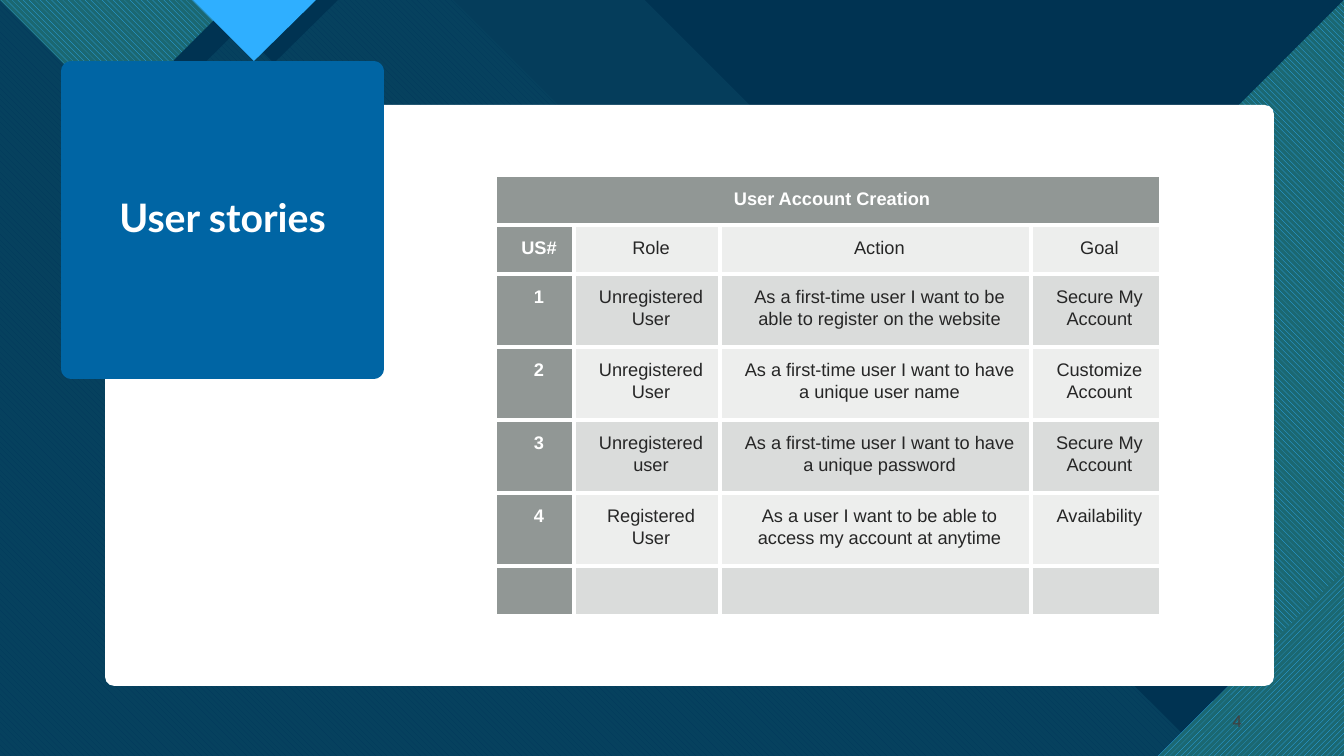
from lxml import etree
from pptx import Presentation
from pptx.dml.color import RGBColor
from pptx.enum.dml import MSO_PATTERN as Pattern
from pptx.enum.shapes import MSO_SHAPE as Shape
from pptx.enum.text import MSO_ANCHOR as Anchor, PP_ALIGN as Align
from pptx.oxml.ns import qn
from pptx.util import Emu, Pt

EMU_PER_PX = 914400 / 100.8
WIDTH, HEIGHT = 1344, 756

WHITE = RGBColor(0xFF, 0xFF, 0xFF)
NAVY = RGBColor(0x00, 0x33, 0x52)
DEEP_BLUE = RGBColor(0x0C, 0x43, 0x60)
BLUE = RGBColor(0x00, 0x65, 0xA4)
SKY = RGBColor(0x2F, 0xAF, 0xFF)
AQUA = RGBColor(0x47, 0xC3, 0xD3)
TEAL = RGBColor(0x1B, 0x68, 0x72)
HEAD_GREY = RGBColor(0x63, 0x6B, 0x68)
BODY_GREY = RGBColor(0x87, 0x8E, 0x8B)
INK = RGBColor(0x26, 0x26, 0x26)
NUMBER_GREY = RGBColor(0x40, 0x40, 0x40)

DOWNWARD = Pattern.WIDE_DOWNWARD_DIAGONAL
UPWARD = Pattern.WIDE_UPWARD_DIAGONAL

COLUMN_WIDTHS = [78, 146, 311, 129]
ROW_HEIGHTS = [49, 49, 73, 73, 73, 73, 49]
STORIES = [
    ["User Account Creation", "", "", ""],
    ["US#", "Role", "Action", "Goal"],
    ["1", "Unregistered User",
     "As a first-time user I want to be able to register on the website",
     "Secure My Account"],
    ["2", "Unregistered User",
     "As a first-time user I want to have a unique user name",
     "Customize Account"],
    ["3", "Unregistered user",
     "As a first-time user I want to have a unique password",
     "Secure My Account"],
    ["4", "Registered User",
     "As a user I want to be able to access my account at anytime",
     "Availability"],
    ["", "", "", ""],
]


def px(length):
    return Emu(round(length * EMU_PER_PX))


def box(*lengths):
    return [px(length) for length in lengths]


def fill_solid(fill, properties, colour, opacity=100):
    """Fill with a colour; properties is the XML parent of the fill."""
    fill.solid()
    fill.fore_color.rgb = colour
    if opacity < 100:
        tint = properties.find(f"{qn('a:solidFill')}/{qn('a:srgbClr')}")
        etree.SubElement(tint, qn("a:alpha"), val=str(opacity * 1000))


def add_polygon(slide, points):
    builder = slide.shapes.build_freeform(*points[0], scale=EMU_PER_PX)
    builder.add_line_segments(points[1:], close=True)
    polygon = builder.convert_to_shape()
    polygon.shadow.inherit = False
    polygon.line.fill.background()
    return polygon


def add_plain(slide, points, colour, opacity=100):
    polygon = add_polygon(slide, points)
    fill_solid(polygon.fill, polygon._element.spPr, colour, opacity)


def add_hatched(slide, points, pattern, front, back):
    fill = add_polygon(slide, points).fill
    fill.patterned()
    fill.pattern = pattern
    fill.fore_color.rgb = front
    fill.back_color.rgb = back


def pennant(left, width):
    """Triangle hanging from the top edge with 45 degree sides."""
    return [(left, 0), (left + width, 0), (left + width // 2, width // 2)]


def add_run(paragraph, text, size, font, colour, bold=False):
    run = paragraph.add_run()
    run.text = text
    run.font.size = Pt(size)
    run.font.name = font
    run.font.bold = bold
    run.font.color.rgb = colour


def add_backdrop(slide):
    slide.background.fill.solid()
    slide.background.fill.fore_color.rgb = DEEP_BLUE

    # Wide layers
    add_plain(slide, [(0, 0), (833, 0), (1132, 299), (1245, 299), (1344, 399),
                      (WIDTH, HEIGHT), (0, HEIGHT)], AQUA, 74)
    add_hatched(slide, [(0, 0), (453, 0), (752, 299), (879, 299),
                        (1336, HEIGHT), (0, HEIGHT)], DOWNWARD, BLUE, AQUA)
    add_plain(slide, [(645, 0), (WIDTH, 0), (WIDTH, 699)], NAVY)
    add_plain(slide, [(0, 0), (701, 0), (1000, 299), (1127, 299), (1344, 517),
                      (WIDTH, HEIGHT), (0, HEIGHT)], NAVY, 90)

    # Right side
    add_plain(slide, [(WIDTH, 69), (WIDTH, HEIGHT), (1205, HEIGHT),
                      (930, 482)], NAVY)
    add_hatched(slide, [(WIDTH, 0), (WIDTH, HEIGHT), (1309, HEIGHT),
                        (948, 396)], DOWNWARD, SKY, TEAL)
    add_hatched(slide, [(WIDTH, 571), (WIDTH, HEIGHT), (1158, HEIGHT)],
                UPWARD, SKY, TEAL)

    # Top left pennants
    add_plain(slide, pennant(29, 239), NAVY)
    add_hatched(slide, pennant(0, 234), DOWNWARD, SKY, TEAL)
    add_plain(slide, pennant(211, 127), NAVY)
    add_plain(slide, pennant(193, 123), SKY)


def add_card(slide):
    card = slide.shapes.add_shape(Shape.ROUNDED_RECTANGLE,
                                  *box(105, 105, 1169, 581))
    card.adjustments[0] = 0.016
    card.shadow.inherit = False
    card.line.fill.background()
    fill_solid(card.fill, card._element.spPr, WHITE)


def add_title(slide, text):
    title = slide.shapes.add_shape(Shape.RECTANGLE, *box(71, 71, 303, 298))
    title.shadow.inherit = False
    fill_solid(title.fill, title._element.spPr, BLUE)
    title.line.color.rgb = BLUE
    title.line.width = Pt(13.75)
    etree.SubElement(title._element.spPr.find(qn("a:ln")), qn("a:round"))
    title.text_frame.vertical_anchor = Anchor.MIDDLE
    paragraph = title.text_frame.paragraphs[0]
    paragraph.alignment = Align.CENTER
    paragraph.line_spacing = 0.9
    add_run(paragraph, text, 28, "Lato", WHITE, bold=True)


def add_page_number(slide, text):
    frame = slide.shapes.add_textbox(*box(950, 701, 302, 40)).text_frame
    frame.word_wrap = True
    frame.vertical_anchor = Anchor.MIDDLE
    paragraph = frame.paragraphs[0]
    paragraph.alignment = Align.RIGHT
    add_run(paragraph, text, 12, "Arial", NUMBER_GREY)


def add_borders(properties, sides):
    for side in sides:
        border = etree.SubElement(properties, qn(f"a:ln{side}"),
                                  w=str(Pt(3)))
        paint = etree.SubElement(border, qn("a:solidFill"))
        etree.SubElement(paint, qn("a:srgbClr"), val=str(WHITE))


def write_cell(cell, text, colour, bold):
    cell.margin_left = px(20)
    cell.margin_right = cell.margin_top = cell.margin_bottom = px(12)
    paragraph = cell.text_frame.paragraphs[0]
    paragraph.alignment = Align.CENTER
    paragraph.line_spacing = 1.07
    if text:
        add_run(paragraph, text, 13, "Arial", colour, bold)
    else:
        etree.SubElement(paragraph._p, qn("a:endParaRPr"), sz="1300")


def add_stories(slide):
    stories = slide.shapes.add_table(
        len(ROW_HEIGHTS), len(COLUMN_WIDTHS),
        *box(496, 176, sum(COLUMN_WIDTHS), sum(ROW_HEIGHTS))).table
    stories.first_row = stories.horz_banding = False
    for column, width in zip(stories.columns, COLUMN_WIDTHS):
        column.width = px(width)
    for row, height in zip(stories.rows, ROW_HEIGHTS):
        row.height = px(height)
    stories.cell(0, 0).merge(stories.cell(0, len(COLUMN_WIDTHS) - 1))

    for r, texts in enumerate(STORIES):
        for c, text in enumerate(texts):
            cell = stories.cell(r, c)
            heading = r == 0 or c == 0
            write_cell(cell, text, WHITE if heading else INK, heading)
            # Only inner edges carry a border
            inner = {"L": r > 0 and c > 0,
                     "R": r > 0 and c < len(texts) - 1,
                     "T": r > 0,
                     "B": r < len(STORIES) - 1}
            properties = cell._tc.get_or_add_tcPr()
            add_borders(properties, [side for side in inner if inner[side]])
            if heading:
                fill_solid(cell.fill, properties, HEAD_GREY, 70)
            else:
                fill_solid(cell.fill, properties, BODY_GREY,
                           15 if r % 2 else 30)


def main():
    deck = Presentation()
    deck.slide_width, deck.slide_height = box(WIDTH, HEIGHT)
    slide = deck.slides.add_slide(deck.slide_layouts[6])
    add_backdrop(slide)
    add_card(slide)
    add_title(slide, "User stories")
    add_page_number(slide, "4")
    add_stories(slide)
    deck.save("out.pptx")


if __name__ == "__main__":
    main()
